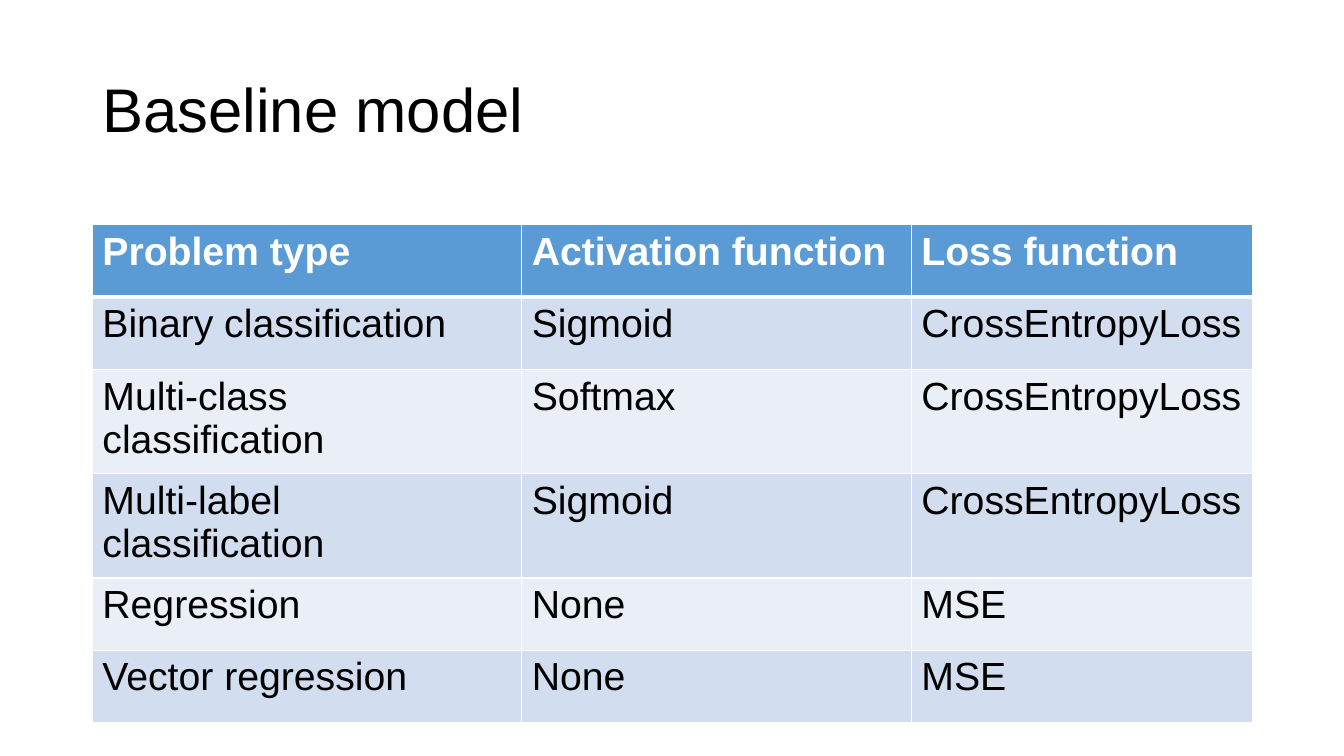
from lxml.etree import SubElement
from pptx import Presentation
from pptx.dml.color import RGBColor
from pptx.enum.text import MSO_ANCHOR
from pptx.oxml.ns import qn
from pptx.util import Pt

EMU_PER_PX = 9525
COLOURS = {
    "text": "000000",
    "white": "FFFFFF",
    "header": "5B9BD5",
    "dark_band": "D2DEEF",
    "light_band": "EAEFF7",
}
TITLE_FORMAT = {"name": "Arial", "size": Pt(44), "bold": False}
HEADER_FORMAT = {"name": "Arial", "size": Pt(28), "bold": True}
BODY_FORMAT = {"name": "Arial", "size": Pt(28), "bold": False}

COLUMN_WIDTHS = [409, 371, 325]
ROW_HEIGHT = 69
ROWS = [
    ("Problem type", "Activation function", "Loss function"),
    ("Binary classification", "Sigmoid", "CrossEntropyLoss"),
    ("Multi-class classification", "Softmax", "CrossEntropyLoss"),
    ("Multi-label classification", "Sigmoid", "CrossEntropyLoss"),
    ("Regression", "None", "MSE"),
    ("Vector regression", "None", "MSE"),
]


def px(length):
    return length * EMU_PER_PX


def colour(name):
    return RGBColor.from_string(COLOURS[name])


def write_text(paragraph, text, text_format, colour_name):
    span = paragraph.add_run()
    span.text = text
    for attribute, value in text_format.items():
        setattr(span.font, attribute, value)
    span.font.color.rgb = colour(colour_name)


def add_title(page, text):
    box = page.shapes.add_textbox(px(88), px(38), px(1104), px(139))
    frame = box.text_frame
    frame.word_wrap = True
    frame.vertical_anchor = MSO_ANCHOR.MIDDLE
    paragraph = frame.paragraphs[0]
    paragraph.line_spacing = 0.9
    write_text(paragraph, text, TITLE_FORMAT, "text")


def set_borders(cell, widths):
    """Draw white cell edges; widths maps L, R, T and B to points, in that order."""
    properties = cell._tc.get_or_add_tcPr()
    for side, width in widths.items():
        line = SubElement(properties, qn(f"a:ln{side}"), w=str(Pt(width)))
        fill = SubElement(line, qn("a:solidFill"))
        SubElement(fill, qn("a:srgbClr"), val=COLOURS["white"])


def fill_cell(cell, text, row_index):
    is_header = row_index == 0
    band = "dark_band" if row_index % 2 else "light_band"
    set_borders(cell, {
        "L": 1,
        "R": 1,
        "T": 3 if row_index == 1 else 1,
        "B": 3 if is_header else 1,
    })
    cell.fill.solid()
    cell.fill.fore_color.rgb = colour("header" if is_header else band)
    write_text(
        cell.text_frame.paragraphs[0],
        text,
        HEADER_FORMAT if is_header else BODY_FORMAT,
        "white" if is_header else "text",
    )


def add_model_table(page):
    frame = page.shapes.add_table(
        len(ROWS), len(COLUMN_WIDTHS), px(88), px(214),
        px(sum(COLUMN_WIDTHS)), px(ROW_HEIGHT * len(ROWS)),
    )
    table = frame.table
    for column, width in zip(table.columns, COLUMN_WIDTHS):
        column.width = px(width)
    for row_index, (row, texts) in enumerate(zip(table.rows, ROWS)):
        row.height = px(ROW_HEIGHT)
        for cell, text in zip(row.cells, texts):
            fill_cell(cell, text, row_index)


def main():
    deck = Presentation()
    deck.slide_width, deck.slide_height = px(1280), px(720)
    page = deck.slides.add_slide(deck.slide_layouts[6])
    add_title(page, "Baseline model")
    add_model_table(page)
    deck.save("out.pptx")


if __name__ == "__main__":
    main()
